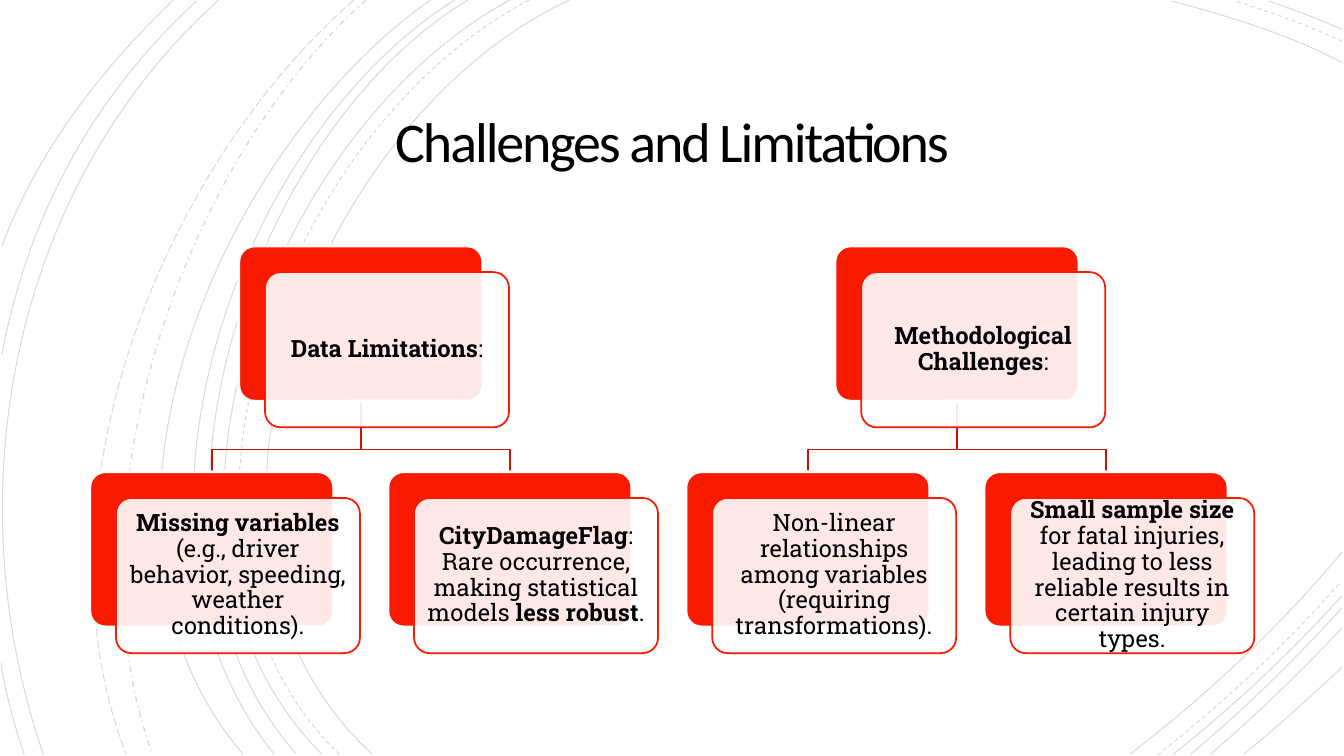
from lxml.etree import SubElement
from pptx import Presentation
from pptx.dml.color import RGBColor
from pptx.enum.dml import MSO_LINE
from pptx.enum.shapes import MSO_SHAPE
from pptx.enum.text import MSO_ANCHOR, MSO_AUTO_SIZE, PP_ALIGN
from pptx.oxml.ns import qn
from pptx.util import Inches, Pt

RED, DARK_RED, WHITE, BLACK = "F81B02", "C71602", "FFFFFF", "000000"
SOLID, DASH = MSO_LINE.SOLID, MSO_LINE.DASH
DASH_DOT, LONG_DASH = MSO_LINE.DASH_DOT, MSO_LINE.LONG_DASH

# Background arcs: start, two control points, end; then dash style
ARCS = [
    ((5.65, 0), (3.15, 1.15), (1.43, 5.4), (3.69, 7.48), SOLID),
    ((13.31, 0.62), (12.78, 0.34), (12.18, 0.16), (11.62, 0.01), SOLID),
    ((11.21, 7.48), (11.97, 6.9), (12.69, 6.22), (13.31, 5.48), SOLID),
    ((5.25, 0), (2.85, 1.25), (1.23, 5.37), (3.36, 7.48), DASH),
    ((13.31, 0.41), (12.97, 0.25), (12.6, 0.12), (12.25, 0.01), DASH),
    ((11.48, 7.49), (12.13, 6.98), (12.75, 6.4), (13.3, 5.77), DASH),
    ((5.06, 0), (2.7, 1.27), (1.1, 5.37), (3.19, 7.48), SOLID),
    ((13.31, 0.29), (13.07, 0.19), (12.83, 0.09), (12.58, 0.01), SOLID),
    ((11.64, 7.48), (12.23, 7.01), (12.8, 6.48), (13.31, 5.91), SOLID),
    ((4.64, 0), (2.44, 1.33), (1.1, 5.41), (2.94, 7.48), SOLID),
    ((11.81, 7.48), (12.34, 7.04), (12.84, 6.55), (13.31, 6.03), SOLID),
    ((4.51, 0), (2.31, 1.38), (0.97, 5.33), (2.72, 7.48), SOLID),
    ((12.01, 7.48), (12.46, 7.09), (12.9, 6.67), (13.31, 6.23), SOLID),
    ((4.27, 0), (2.17, 1.47), (0.53, 5.29), (2.41, 7.48), SOLID),
    ((12.34, 7.48), (12.67, 7.21), (12.99, 6.92), (13.31, 6.62), SOLID),
    ((3.63, 0), (1.76, 1.66), (0.65, 5.09), (1.51, 7.48), DASH_DOT),
    ((3.51, 0), (1.57, 1.69), (0.29, 4.99), (1.25, 7.48), LONG_DASH),
    ((2.17, 0), (0.11, 1.85), (-0.46, 4.9), (0.43, 7.48), SOLID),
    ((1.95, 0.01), (0.92, 0.96), (0.28, 2.14), (0.02, 3.51), SOLID),
    ((0.01, 6.58), (0.06, 6.89), (0.14, 7.19), (0.24, 7.48), SOLID),
    ((1.72, 0), (1, 0.69), (0.37, 1.5), (0.02, 2.44), SOLID),
]

# Each branch: heading runs, then the runs of its children; a run is (text, bold)
BRANCHES = [
    ([("Data Limitations", True), (":", False)],
     [[("Missing variables", True),
       (" (e.g., driver behavior, speeding, weather conditions).", False)],
      [("CityDamageFlag", True),
       (": Rare occurrence, making statistical models ", False),
       ("less robust", True), (".", False)]]),
    ([("Methodological Challenges", True), (":", False)],
     [[("Non-linear relationships among variables (requiring transformations).", False)],
      [("Small sample size", True),
       (" for fatal injuries, leading to less reliable results in certain injury types.",
        False)]]),
]

# Hierarchy grid
CARD_W, CARD_H, OFFSET = 2.42, 1.54, 0.26
LEFT, PITCH = 0.89, (9.76 - 0.89) / 3
PARENT_Y, CHILD_Y, ELBOW_Y = 2.44, 4.68, 4.46


def rgb(color):
    return RGBColor.from_string(color)


def set_alpha(fill_parent, percent):
    color = fill_parent.find(".//" + qn("a:srgbClr"))
    SubElement(color, qn("a:alpha")).set("val", str(percent * 1000))


def set_line(shape, color, width, dash=SOLID):
    shape.line.color.rgb = rgb(color)
    shape.line.width = Pt(width)
    if dash != SOLID:
        shape.line.dash_style = dash


def add_path(s, points, color, width, dash=SOLID):
    corners = [(Inches(x), Inches(y)) for x, y in points]
    builder = s.shapes.build_freeform(*corners[0])
    builder.add_line_segments(corners[1:], close=False)
    sp = builder.convert_to_shape()
    sp.shadow.inherit = False
    sp.fill.background()
    set_line(sp, color, width, dash)
    return sp


def add_arc(s, *points, dash):
    sp = add_path(s, points, BLACK, 1 if dash == DASH_DOT else 0.75, dash)
    set_alpha(sp.line.fill._xPr, 15)
    # Join the three segments into one cubic curve
    outline = sp._element.find(".//" + qn("a:pathLst"))[0]
    segments = outline.findall(qn("a:lnTo"))
    curve = SubElement(outline, qn("a:cubicBezTo"))
    for segment in segments:
        curve.append(segment[0])
        outline.remove(segment)


def add_run(p, text, font, size, bold=False):
    r = p.add_run()
    r.text = text
    r.font.name, r.font.size, r.font.bold = font, Pt(size), bold
    r.font.color.rgb = rgb(BLACK)
    return r


def format_frame(tf, inset, line_spacing):
    tf.word_wrap = True
    tf.auto_size = MSO_AUTO_SIZE.NONE
    tf.vertical_anchor = MSO_ANCHOR.MIDDLE
    tf.margin_left = tf.margin_right = Inches(inset)
    tf.margin_top = tf.margin_bottom = Inches(inset)
    p = tf.paragraphs[0]
    p.alignment = PP_ALIGN.CENTER
    p.line_spacing = line_spacing
    return p


def add_title(s, text):
    title = s.shapes.title
    title.left, title.top = Inches(1.92), Inches(0.87)
    title.width, title.height = Inches(9.49), Inches(1.15)
    p = format_frame(title.text_frame, 0.25, 0.85)
    r = add_run(p, text, "Calibri", 40)
    r.font._element.set("spc", "-150")


def add_box(s, x, y, fill, line, width):
    sp = s.shapes.add_shape(MSO_SHAPE.ROUNDED_RECTANGLE, Inches(x), Inches(y),
                            Inches(CARD_W), Inches(CARD_H))
    sp.adjustments[0] = 0.1
    sp.shadow.inherit = False
    sp.fill.solid()
    sp.fill.fore_color.rgb = rgb(fill)
    set_line(sp, line, width)
    return sp


def add_card(s, x, y, runs):
    add_box(s, x, y, RED, WHITE, 2)
    front = add_box(s, x + OFFSET, y + OFFSET, WHITE, RED, 1.25)
    set_alpha(front.fill._xPr.find(qn("a:solidFill")), 90)
    p = format_frame(front.text_frame, 0.07, 0.9)
    for text, bold in runs:
        add_run(p, text, "Roboto Slab", 17, bold)


def add_branch(s, x, heading, children):
    parent_x = x + PITCH / 2
    stem_x = parent_x + CARD_W / 2
    child_xs = [x + i * PITCH for i in range(len(children))]
    # Elbows go behind the cards
    for child_x in child_xs:
        end_x = child_x + CARD_W / 2
        add_path(s, [(stem_x, PARENT_Y + CARD_H), (stem_x, ELBOW_Y),
                     (end_x, ELBOW_Y), (end_x, CHILD_Y)], DARK_RED, 1.25)
    add_card(s, parent_x, PARENT_Y, heading)
    for child_x, runs in zip(child_xs, children):
        add_card(s, child_x, CHILD_Y, runs)


def main():
    prs = Presentation()
    prs.slide_width, prs.slide_height = Inches(13.33), Inches(7.5)
    s = prs.slides.add_slide(prs.slide_layouts[5])

    # Decorative arcs
    for *points, dash in ARCS:
        add_arc(s, *points, dash=dash)

    # Title and hierarchy
    add_title(s, "Challenges and Limitations")
    for i, (heading, children) in enumerate(BRANCHES):
        add_branch(s, LEFT + 2 * i * PITCH, heading, children)

    prs.save("out.pptx")


if __name__ == "__main__":
    main()
